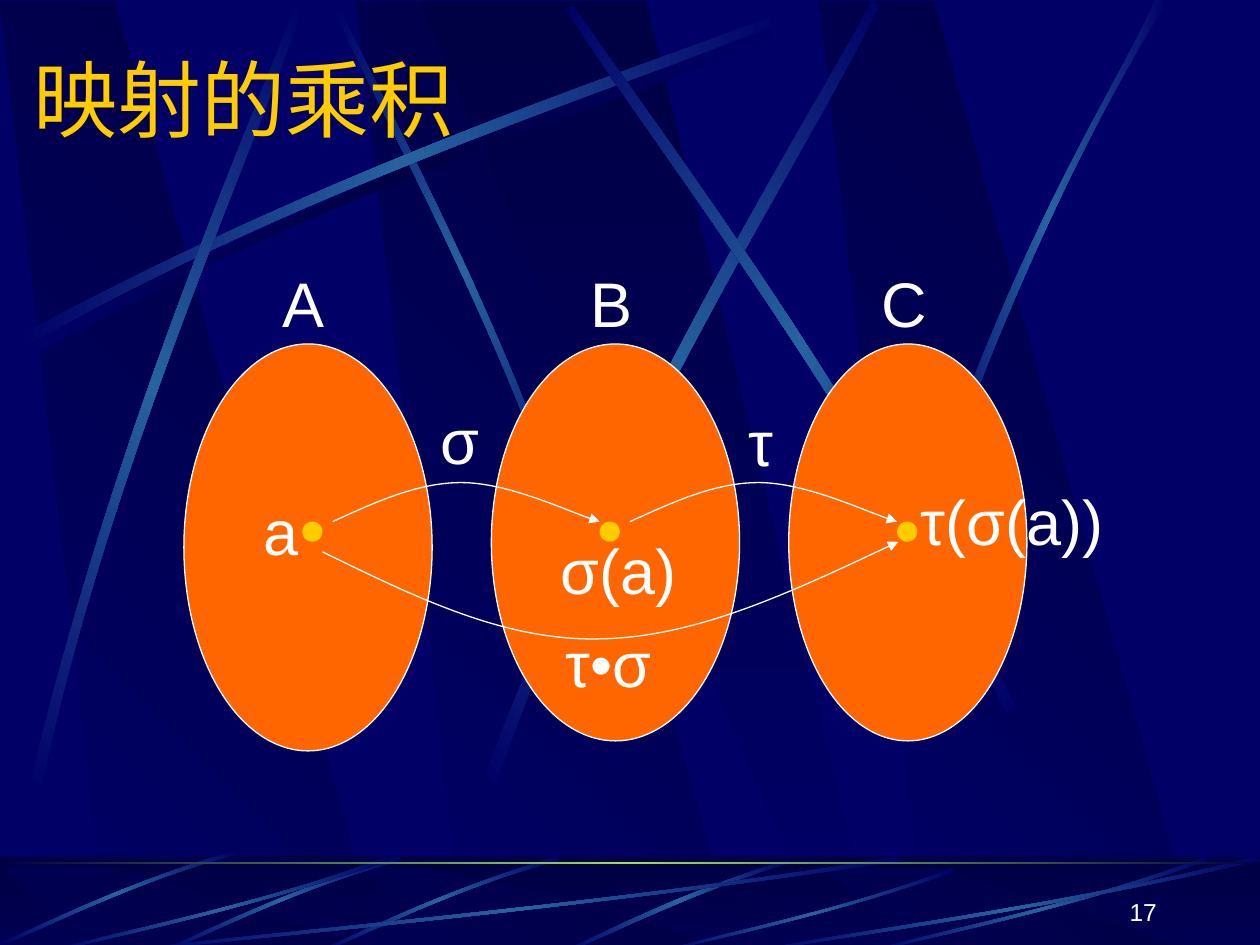
from lxml.etree import SubElement
from pptx import Presentation
from pptx.dml.color import RGBColor
from pptx.enum.shapes import MSO_SHAPE
from pptx.enum.text import MSO_ANCHOR, MSO_AUTO_SIZE, PP_ALIGN
from pptx.oxml.ns import qn
from pptx.util import Inches, Pt

THEME = {
    "navy": "000066", "deep": "000044", "beam": "2663A0", "rule": "9CE157",
    "set": "FF6600", "accent": "FFCC00", "white": "FFFFFF",
    "font": "Arial", "title_font": "Montserrat",
    "title": 48, "label": 36, "number": 14, "line": 0.75,
}
GLOW = ("navy", "beam", "navy")
SHADE = ("navy", "deep", "navy")

TITLE = ("映射的乘积", 0.17, 0.33, 8.5, 0.9)
NUMBER = ("17", 7.2, 6.9, 2.08, 0.5)
SETS = [(1.46, 1.97, 3.23), (3.9, 1.97, 3.15), (6.26, 1.89, 3.15)]
SET_TOP = 2.73
DOT_LEFT, DOT_TOP, DOT_SIZE, DOT_STEP = 2.4, 4.14, 0.16, 2.36
LABELS = [
    ("a", 2.09, 3.91, 0.28), ("σ", 3.5, 3.19, 0.3), ("σ(a)", 4.45, 4.22, 0.94),
    ("τ", 5.94, 3.2, 0.22), ("τ•σ", 4.49, 4.96, 0.75), ("C", 7, 2.1, 0.36),
    ("B", 4.69, 2.1, 0.33), ("A", 2.24, 2.1, 0.33), ("τ(σ(a))", 7.31, 3.83, 1.47),
]
PRODUCT = [(2.56, 4.38), (3.28, 4.73), (4, 5.09), (4.76, 5.07),
           (5.52, 5.06), (6.32, 4.68), (7.13, 4.3)]
HOP = [(2.64, 4.14), (2.97, 3.99), (3.31, 3.83), (3.66, 3.83),
       (4.02, 3.83), (4.58, 4.09), (4.76, 4.14)]

DIAGONAL = [(0.14, 2.67), (2.78, 1.25), (5.18, 0.51), (6.2, 0.1),
            (6.23, 0.16), (5.22, 0.61), (2.48, 1.43), (0.17, 2.77)]
THIN_BEAM = [(4.6, 4.36), (3.91, 2.34), (3.02, 0.77), (2.69, 0.05),
             (2.65, 0.07), (2.95, 0.79), (3.98, 2.58), (4.54, 4.39)]
BEAMS = [
    ([(0.23, 6.25), (0.93, 3.34), (1.97, 1.05), (2.35, 0.02),
      (2.41, 0.04), (2.07, 1.09), (0.86, 3.68), (0.32, 6.29)], 311.7),
    ([(3.85, 6.14), (4.98, 3.2), (6.38, 1.02), (6.92, 0.01),
      (6.98, 0.04), (6.49, 1.08), (4.86, 3.55), (3.94, 6.21)], 321.6),
    ([(8.06, 5.6), (6.7, 2.93), (5.16, 0.95), (4.55, 0.04),
      (4.49, 0.07), (5.07, 1.01), (6.85, 3.25), (7.99, 5.67)], 34.7),
    ([(7.38, 3.94), (8.14, 1.73), (8.88, 0.66), (9.17, 0),
      (9.27, 0), (8.36, 1.45), (7.69, 3.22), (7.44, 3.97)], 0),
]
FOOT_BEAM = [(6.27, 6.82), (5.37, 7.09), (4.77, 7.42), (4.48, 7.54),
             (4.53, 7.55), (4.9, 7.38), (5.71, 7), (6.28, 6.85)]
FOOT_RAY = [(4.42, 6.8), (3.55, 7.05), (2.87, 7.4), (2.56, 7.53),
            (2.57, 7.55), (2.88, 7.43), (3.65, 7.03), (4.44, 6.83)]
RAY_SHIFTS = [(0, 0), (-1.25, 0), (-2.55, -0.05)]
SWEEP = [(1, 0.04), (0.57, 0.57), (0.17, 0.85), (0.01, 1),
         (0, 0.99), (0.16, 0.81), (0.62, 0.51), (0.99, 0)]
SWEEPS = [(1, 6.17, 6.8), (0.42, 2.67, 6.8), (5.27, 2.31, 6.89),
          (6.92, 2.67, 6.8), (6, 4, 6.8)]
BAND_LEFTS = [2.83, 0, 6.5]
FLOOR = 7.55
FOOTER = (0, 6.8, 10, 0.75)


def rgb(name):
    """Return a theme colour."""
    return RGBColor.from_string(THEME[name])


def apply(obj, values):
    """Set every attribute named in a dict."""
    for name, value in values.items():
        setattr(obj, name, value)


def shift(points, dx, dy):
    """Move a list of points."""
    return [(x + dx, y + dy) for x, y in points]


def paint(sp, fill=None, angle=0, line=None):
    """Give a shape a plain or gradient fill and an optional outline."""
    sp.shadow.inherit = False
    if fill is None:
        sp.fill.background()
    elif isinstance(fill, str):
        sp.fill.solid()
        sp.fill.fore_color.rgb = rgb(fill)
    else:
        sp.fill.gradient()
        sp.fill.gradient_angle = (360 - angle) % 360
        stops = next(sp.element.iter(qn("a:gsLst")))
        stops[:] = []
        for i, name in enumerate(fill):
            gs = SubElement(stops, qn("a:gs"), pos=str(100000 * i // (len(fill) - 1)))
            SubElement(gs, qn("a:srgbClr"), val=THEME[name])
    if line:
        sp.line.color.rgb = rgb(line)
        sp.line.width = Pt(THEME["line"])
    else:
        sp.line.fill.background()
    return sp


def outline(s, points, curves=(), close=True):
    """Draw a freeform whose segments from each index in curves are Beziers."""
    pts = [(Inches(x), Inches(y)) for x, y in points]
    fb = s.shapes.build_freeform(*pts[0])
    fb.add_line_segments(pts[1:], close=close)
    sp = fb.convert_to_shape()
    steps = list(sp.element.iter(qn("a:lnTo")))
    for i in curves:
        curve = SubElement(steps[i].getparent(), qn("a:cubicBezTo"))
        steps[i].addprevious(curve)
        for step in steps[i:i + 3]:
            curve.append(step[0])
            step.getparent().remove(step)
    return sp


def ribbon(s, points, angle=0, fill=GLOW):
    """Draw a tapered beam."""
    paint(outline(s, points, (0, 4)), fill, angle)


def arrow(s, points):
    """Draw a curved arrow."""
    sp = paint(outline(s, points, (0, 3), close=False), line="white")
    SubElement(next(sp.element.iter(qn("a:ln"))), qn("a:tailEnd"), type="triangle")


def bands(s, top, bottom):
    """Draw the slanted background bands."""
    for x in BAND_LEFTS:
        pts = [(x + 0.86, bottom), (x + 3.02, bottom), (x + 0.91, top), (x, top)]
        paint(outline(s, pts), ("navy", "deep"), 315)
    pts = [(3.33, top), (6.58, bottom), (6.94, bottom), (5.13, top)]
    paint(outline(s, pts), ("deep", "navy"), 90)


def preset(s, kind, box, *args, **kwargs):
    """Add a painted preset shape."""
    return paint(s.shapes.add_shape(kind, *map(Inches, box)), *args, **kwargs)


def text(s, value, box, size, color="white", font="font", align=PP_ALIGN.LEFT, **frame):
    """Add a one-line text box."""
    tf = s.shapes.add_textbox(*map(Inches, box)).text_frame
    apply(tf, frame)
    p = tf.paragraphs[0]
    p.alignment = align
    r = p.add_run()
    r.text = value
    apply(r.font, {"size": Pt(THEME[size]), "name": THEME[font]})
    r.font.color.rgb = rgb(color)


def backdrop(s):
    """Draw the background bands, beams and footer."""
    s.background.fill.solid()
    s.background.fill.fore_color.rgb = rgb("navy")
    bands(s, 0.01, 7.52)
    ribbon(s, shift(DIAGONAL, 0.06, 0.08), fill=SHADE)
    ribbon(s, THIN_BEAM, 45)
    ribbon(s, DIAGONAL)
    for points, angle in BEAMS:
        ribbon(s, points, angle)
    preset(s, MSO_SHAPE.RECTANGLE, FOOTER, ("deep", "navy"), 90)
    bands(s, 6.88, FLOOR)
    veil = preset(s, MSO_SHAPE.RECTANGLE, FOOTER, "deep")
    SubElement(next(veil.element.iter(qn("a:srgbClr"))), qn("a:alpha"), val="50000")
    ribbon(s, FOOT_BEAM)
    for dx, dy in RAY_SHIFTS:
        ribbon(s, shift(FOOT_RAY, dx, dy), 315)
    for left, width, top in SWEEPS:
        ribbon(s, [(left + width * x, top + (FLOOR - top) * y) for x, y in SWEEP])
    preset(s, MSO_SHAPE.RECTANGLE, (0, 6.84, 10, 0.02), ("deep", "rule", "deep"))


def main():
    """Build the slide on the product of mappings."""
    prs = Presentation()
    apply(prs, {"slide_width": Inches(10), "slide_height": Inches(7.5)})
    s = prs.slides.add_slide(prs.slide_layouts[6])
    backdrop(s)
    text(s, NUMBER[0], NUMBER[1:], "number", align=PP_ALIGN.RIGHT,
         word_wrap=True, vertical_anchor=MSO_ANCHOR.BOTTOM)
    text(s, TITLE[0], TITLE[1:], "title", "accent", "title_font",
         word_wrap=True, vertical_anchor=MSO_ANCHOR.MIDDLE)
    for left, width, height in SETS:
        preset(s, MSO_SHAPE.OVAL, (left, SET_TOP, width, height), "set", line="white")
    for i in range(len(SETS)):
        box = (DOT_LEFT + DOT_STEP * i, DOT_TOP, DOT_SIZE, DOT_SIZE)
        preset(s, MSO_SHAPE.OVAL, box, "accent")
    for points in (PRODUCT, HOP, shift(HOP, DOT_STEP, 0)):
        arrow(s, points)
    margins = {f"margin_{side}": 0 for side in ("left", "top", "right", "bottom")}
    for value, left, top, width in LABELS:
        text(s, value, (left, top, width, 0.6), "label", word_wrap=False,
             auto_size=MSO_AUTO_SIZE.SHAPE_TO_FIT_TEXT, **margins)
    prs.save("out.pptx")


if __name__ == "__main__":
    main()
